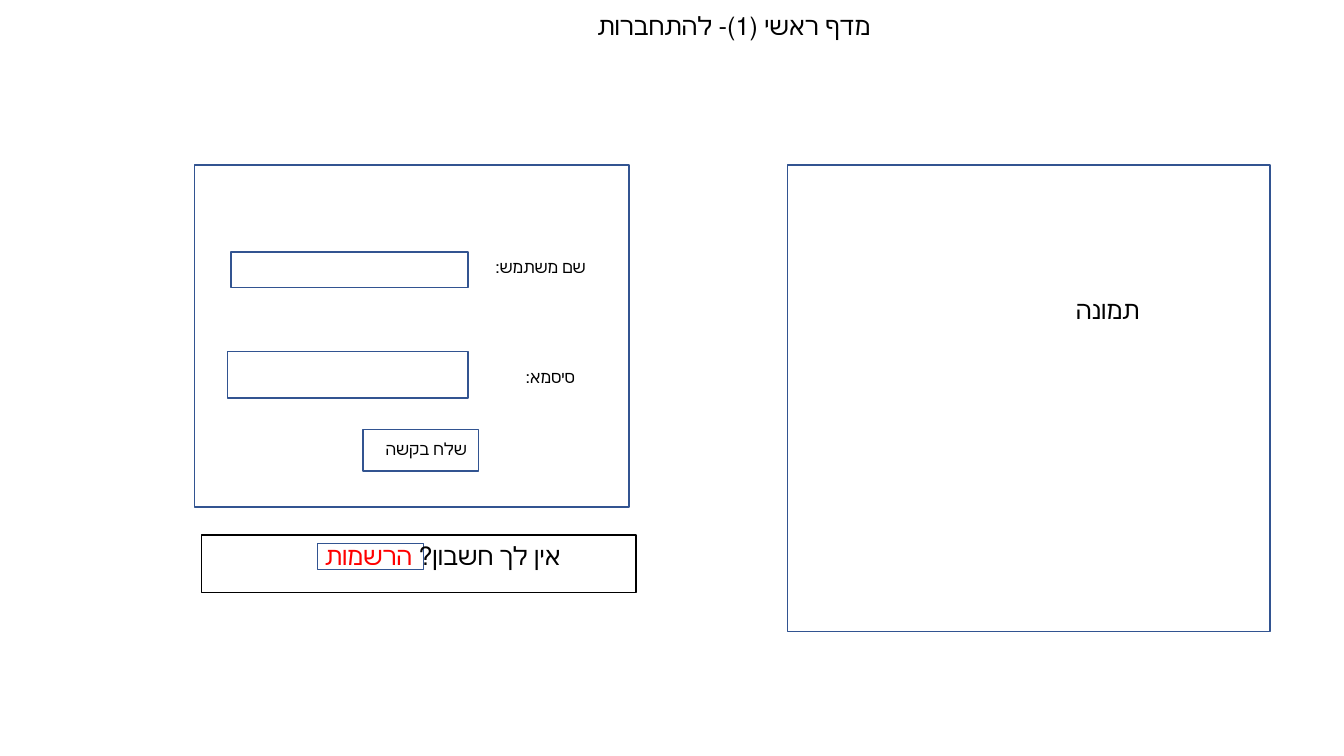
from dataclasses import dataclass

from pptx import Presentation
from pptx.dml.color import RGBColor
from pptx.enum.lang import MSO_LANGUAGE_ID
from pptx.enum.shapes import MSO_SHAPE
from pptx.enum.text import MSO_AUTO_SIZE, PP_ALIGN
from pptx.slide import Slide
from pptx.util import Inches, Pt

BLACK = RGBColor(0x00, 0x00, 0x00)
RED = RGBColor(0xFF, 0x00, 0x00)
BLUE = RGBColor(0x32, 0x54, 0x91)
FONT = "Calibri"
SLIDE_WIDTH, SLIDE_HEIGHT = Inches(13.33), Inches(7.5)
HEADING, LABEL = 18, 12
LINE_HEIGHT = {HEADING: 5.33, LABEL: 4.0}


@dataclass(frozen=True)
class Frame:
    """An outlined rectangle, in percent of the slide's width and height."""
    left: float
    top: float
    width: float
    height: float
    line: RGBColor = BLUE


@dataclass(frozen=True)
class Caption:
    """One right-to-left line, placed in percent of the slide's size."""
    left: float
    top: float
    width: float
    size: int
    words: tuple[tuple[str, RGBColor], ...]


FRAMES = (
    Frame(23.63, 71.87, 7.88, 3.47),  # sign-up link
    Frame(15.0, 70.8, 32.33, 7.6, BLACK),  # sign-up bar
    Frame(14.48, 21.85, 32.33, 45.2),  # login form
    Frame(17.18, 33.33, 17.65, 4.67),  # user name field
    Frame(16.95, 46.53, 17.88, 6.13),  # password field
    Frame(27.01, 56.8, 8.6, 5.5),  # submit button
    Frame(58.57, 21.85, 35.93, 61.73),  # image area
)

CAPTIONS = (
    Caption(23.63, 0.67, 41.86, HEADING, (("מדף ראשי (1)- להתחברות", BLACK),)),
    Caption(5.55, 70.8, 36.91, HEADING,
            (("אין לך חשבון? ", BLACK), ("הרשמות", RED))),
    Caption(31.43, 33.33, 12.9, LABEL, (("שם משתמש:", BLACK),)),
    Caption(30.61, 47.87, 12.9, LABEL, (("סיסמא:", BLACK),)),
    Caption(26.86, 57.4, 8.63, LABEL, (("שלח בקשה", BLACK),)),
    Caption(69.39, 38.27, 16.13, HEADING, (("תמונה", BLACK),)),
)


def place(left: float, top: float, width: float, height: float) -> tuple[int, ...]:
    """Turn percentages of the slide into lengths."""
    return (int(SLIDE_WIDTH * left / 100), int(SLIDE_HEIGHT * top / 100),
            int(SLIDE_WIDTH * width / 100), int(SLIDE_HEIGHT * height / 100))


def draw_frame(slide: Slide, frame: Frame) -> None:
    box = slide.shapes.add_shape(
        MSO_SHAPE.RECTANGLE,
        *place(frame.left, frame.top, frame.width, frame.height))
    box.shadow.inherit = False
    box.fill.background()
    box.line.color.rgb = frame.line
    box.line.width = Pt(1)


def draw_caption(slide: Slide, caption: Caption) -> None:
    box = slide.shapes.add_textbox(
        *place(caption.left, caption.top, caption.width, LINE_HEIGHT[caption.size]))
    box.text_frame.word_wrap = True
    box.text_frame.auto_size = MSO_AUTO_SIZE.SHAPE_TO_FIT_TEXT
    paragraph = box.text_frame.paragraphs[0]
    paragraph.alignment = PP_ALIGN.RIGHT
    paragraph._p.get_or_add_pPr().set("rtl", "1")
    for text, color in caption.words:
        run = paragraph.add_run()
        run.text = text
        run.font.size = Pt(caption.size)
        run.font.name = FONT
        run.font.color.rgb = color
        run.font.language_id = MSO_LANGUAGE_ID.HEBREW


def main() -> None:
    presentation = Presentation()
    presentation.slide_width = SLIDE_WIDTH
    presentation.slide_height = SLIDE_HEIGHT
    slide = presentation.slides.add_slide(presentation.slide_layouts[6])
    for frame in FRAMES:
        draw_frame(slide, frame)
    for caption in CAPTIONS:
        draw_caption(slide, caption)
    presentation.save("out.pptx")


if __name__ == "__main__":
    main()
